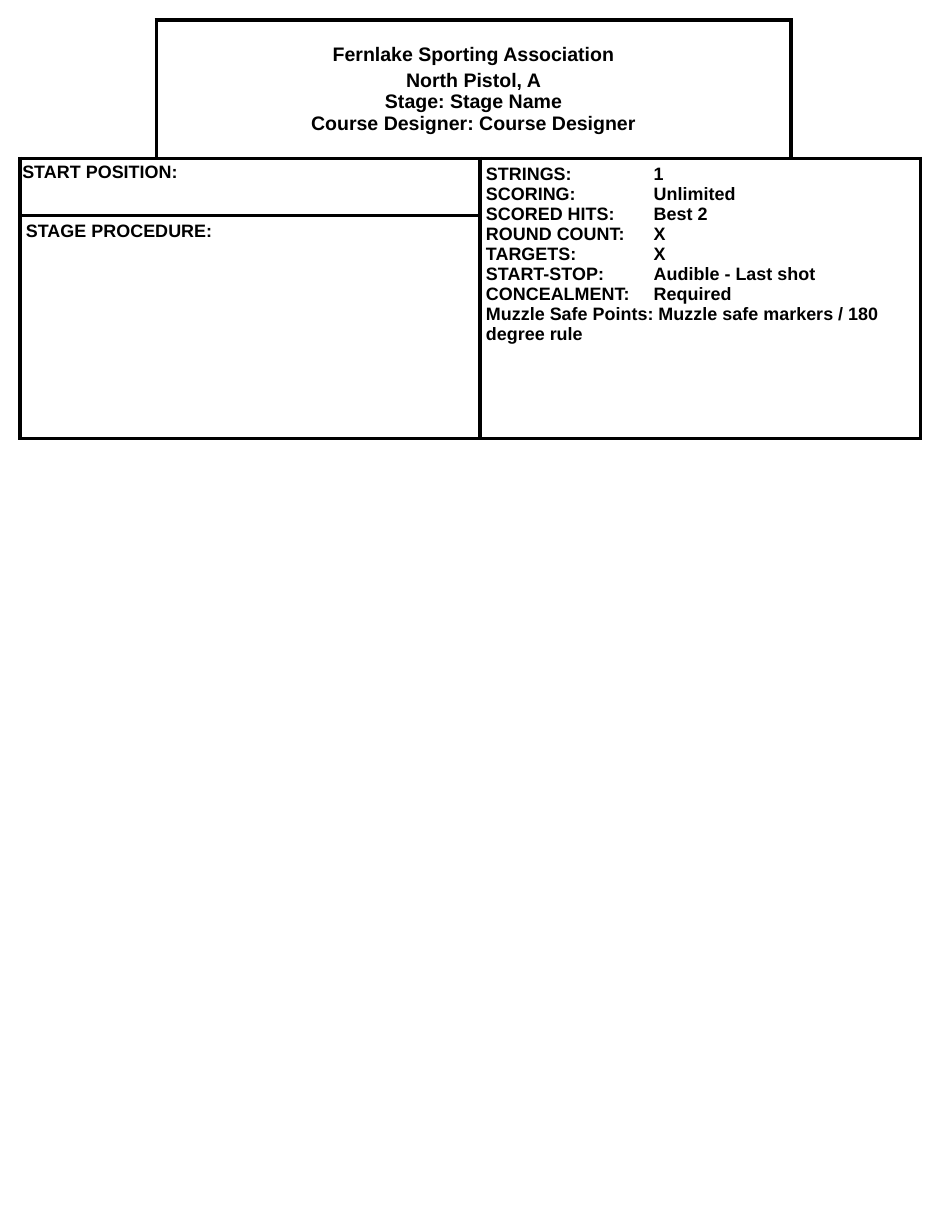
from itertools import product

from pptx import Presentation
from pptx.dml.color import RGBColor
from pptx.enum.text import MSO_ANCHOR as Anchor, PP_ALIGN as Align
from pptx.oxml import parse_xml
from pptx.oxml.ns import nsdecls
from pptx.util import Inches, Pt

WIDTH, HEIGHT = 8, 10.5
MARGIN = 0.17
COLUMNS = [1.16, 2.76, 2.65, 1.1]
ROWS = [1.18, 0.49, 1.9]
INK, PAPER = "000000", "FFFFFF"
BORDER = 2.25
VALUE_TAB = 1.43

HEADING = [
    ["Fernlake Sporting Association"],
    ["North Pistol, A", "Stage: Stage Name", "Course Designer: Course Designer"],
]
RULES = [
    ["STRINGS:\t1"],
    ["SCORING:\tUnlimited"],
    ["SCORED HITS:\tBest 2"],
    ["ROUND COUNT:\tX"],
    ["TARGETS:\tX"],
    ["START-STOP:\tAudible - Last shot"],
    ["CONCEALMENT:\tRequired"],
    ["Muzzle Safe Points: Muzzle safe markers / 180 degree rule"],
]


def color(value):
    """Return the colour for a hex string."""
    return RGBColor.from_string(value)


def add_grid(page):
    """Add the stage table with its rows and columns sized."""
    frame = page.shapes.add_table(
        len(ROWS), len(COLUMNS), Inches(MARGIN), Inches(MARGIN),
        Inches(sum(COLUMNS)), Inches(sum(ROWS)))
    grid = frame.table
    grid.first_row = grid.horz_banding = False
    for column, width in zip(grid.columns, COLUMNS):
        column.width = Inches(width)
    for row, height in zip(grid.rows, ROWS):
        row.height = Inches(height)
    return grid


def set_borders(cell, sides):
    """Draw the given sides of a cell and clear the others."""
    properties = cell._tc.get_or_add_tcPr()
    for index, side in enumerate("LRTB"):
        paint = "<a:noFill/>"
        if side in sides:
            paint = f'<a:solidFill><a:srgbClr val="{INK}"/></a:solidFill>'
        line = f'<a:ln{side} {nsdecls("a")} w="{Pt(BORDER)}">{paint}</a:ln{side}>'
        properties.insert(index, parse_xml(line))


def style_cells(grid):
    """Fill every cell and border all but the outer edges of the top corners."""
    corners = {(0, 0): "RB", (0, len(COLUMNS) - 1): "LB"}
    for place in product(range(len(ROWS)), range(len(COLUMNS))):
        cell = grid.cell(*place)
        cell.fill.solid()
        cell.fill.fore_color.rgb = color(PAPER)
        set_borders(cell, corners.get(place, "LRTB"))


def add_tab(para, position):
    """Give a paragraph one left tab stop."""
    stop = f'<a:tab pos="{Inches(position)}" algn="l"/>'
    para._p.get_or_add_pPr().append(
        parse_xml(f'<a:tabLst {nsdecls("a")}>{stop}</a:tabLst>'))


def add_span(para, text, size):
    """Add one bold run to a paragraph."""
    span = para.add_run()
    span.text = text
    span.font.name = "Arial"
    span.font.size = Pt(size)
    span.font.bold = True
    span.font.color.rgb = color(INK)


def write_cell(cell, paragraphs, size=11, inset=(0.05, 0.05),
               align=Align.LEFT, anchor=Anchor.TOP, gap=0):
    """Write paragraphs, each a list of lines, into a cell."""
    cell.margin_left = cell.margin_right = Inches(inset[0])
    cell.margin_top = cell.margin_bottom = Inches(inset[1])
    cell.vertical_anchor = anchor
    box = cell.text_frame
    for index, lines in enumerate(paragraphs):
        para = box.add_paragraph() if index else box.paragraphs[0]
        para.alignment = align
        if index and gap:
            para.space_before = Pt(gap)
        if "\t" in lines[0]:
            add_tab(para, VALUE_TAB)
        for number, line in enumerate(lines):
            if number:
                para.add_line_break()
            add_span(para, line, size)


def merge(grid, first, last):
    """Merge a block of cells and return its first cell."""
    cell = grid.cell(*first)
    cell.merge(grid.cell(*last))
    return cell


def main():
    """Build the stage sheet and save it."""
    deck = Presentation()
    deck.slide_width, deck.slide_height = Inches(WIDTH), Inches(HEIGHT)
    page = deck.slides.add_slide(deck.slide_layouts[6])
    grid = add_grid(page)
    style_cells(grid)
    write_cell(merge(grid, (0, 1), (0, 2)), HEADING, size=12,
               align=Align.CENTER, anchor=Anchor.MIDDLE, gap=2.4)
    write_cell(merge(grid, (1, 0), (1, 1)), [["START POSITION:"]], inset=(0.02, 0.03))
    write_cell(merge(grid, (1, 2), (2, 3)), RULES)
    write_cell(merge(grid, (2, 0), (2, 1)), [["STAGE PROCEDURE:"]])
    deck.save("out.pptx")


if __name__ == "__main__":
    main()
